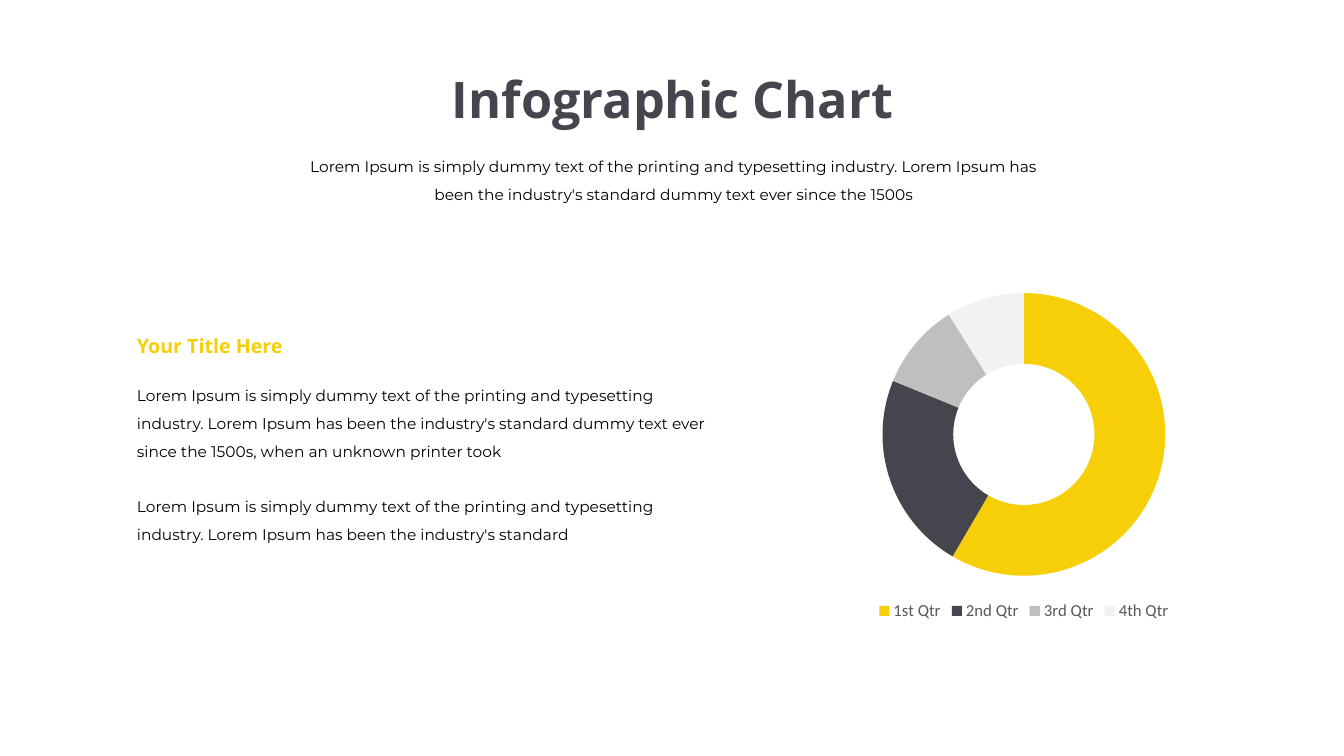
from dataclasses import dataclass

from pptx import Presentation
from pptx.chart.data import CategoryChartData
from pptx.dml.color import RGBColor
from pptx.enum.chart import XL_CHART_TYPE, XL_LEGEND_POSITION
from pptx.enum.text import MSO_ANCHOR, MSO_AUTO_SIZE, PP_ALIGN
from pptx.util import Inches, Pt

COLORS = {
    "yellow": "F6CF08",
    "charcoal": "45454D",
    "silver": "BFBFBF",
    "mist": "F2F2F2",
    "black": "000000",
    "legend": "595959",
}
QUARTERS = {
    "1st Qtr": (59, "yellow"),
    "2nd Qtr": (23, "charcoal"),
    "3rd Qtr": (10, "silver"),
    "4th Qtr": (9, "mist"),
}
LOREM = "Lorem Ipsum is simply dummy text of the printing and typesetting industry. Lorem Ipsum has been the industry's standard"


@dataclass(frozen=True)
class TextStyle:
    font: str
    size: int
    color: str
    bold: bool = False
    spacing: float = 1.0


@dataclass(frozen=True)
class TextBlock:
    text: str
    left: float
    top: float
    width: float
    height: float
    style: TextStyle
    align: PP_ALIGN = PP_ALIGN.LEFT


TITLE = TextStyle("Open Sans", 36, "charcoal", bold=True)
HEADING = TextStyle("Open Sans", 14, "yellow", bold=True)
BODY = TextStyle("Montserrat", 11, "black", spacing=1.5)

HEADLINE = TextBlock("Infographic Chart", 2.52, 0.63, 8.3, 0.71, TITLE, PP_ALIGN.CENTER)
BLOCKS = [
    TextBlock(f"{LOREM} dummy text ever since the 1500s",
              2.91, 1.42, 7.55, 0.66, BODY, PP_ALIGN.CENTER),
    TextBlock("Your Title Here", 1.26, 3.26, 2.8, 0.34, HEADING),
    TextBlock(f"{LOREM} dummy text ever since the 1500s, when an unknown printer took",
              1.26, 3.69, 5.85, 0.93, BODY),
    TextBlock(LOREM, 1.26, 4.79, 5.85, 0.66, BODY),
]


def rgb(name: str) -> RGBColor:
    return RGBColor.from_string(COLORS[name])


def apply(target, values: dict) -> None:
    for name, value in values.items():
        setattr(target, name, value)


def format_font(font, style: TextStyle) -> None:
    apply(font, {"name": style.font, "size": Pt(style.size), "bold": style.bold})
    font.color.rgb = rgb(style.color)


def fill_box(box, block: TextBlock) -> None:
    apply(box, {"left": Inches(block.left), "top": Inches(block.top),
                "width": Inches(block.width), "height": Inches(block.height)})
    frame = box.text_frame
    apply(frame, {"word_wrap": True, "vertical_anchor": MSO_ANCHOR.TOP,
                  "auto_size": MSO_AUTO_SIZE.SHAPE_TO_FIT_TEXT})
    para = frame.paragraphs[0]
    apply(para, {"alignment": block.align, "line_spacing": block.style.spacing,
                 "space_before": Pt(0)})
    span = para.add_run()
    span.text = block.text
    format_font(span.font, block.style)


def add_quarter_chart(page) -> None:
    data = CategoryChartData()
    data.categories = list(QUARTERS)
    data.add_series("Series 1", [value for value, _ in QUARTERS.values()])
    chart = page.shapes.add_chart(
        XL_CHART_TYPE.DOUGHNUT, Inches(8.14), Inches(2.77),
        Inches(4.03), Inches(3.43), data).chart
    apply(chart, {"has_title": False, "has_legend": True})
    format_font(chart.font, TextStyle("Calibri", 10, "black"))
    apply(chart.legend, {"position": XL_LEGEND_POSITION.BOTTOM,
                         "include_in_layout": False})
    format_font(chart.legend.font, TextStyle("Calibri", 12, "legend"))

    # Ring colours and hole
    plot = chart.plots[0]
    plot.vary_by_categories = True
    for index, (_, color) in enumerate(QUARTERS.values()):
        segment = plot.series[0].points[index].format
        segment.fill.solid()
        segment.fill.fore_color.rgb = rgb(color)
        segment.line.fill.background()
    for hole in chart.element.xpath(".//c:holeSize"):
        hole.set("val", "45")


def main() -> None:
    deck = Presentation()
    apply(deck, {"slide_width": Inches(13.33), "slide_height": Inches(7.5)})
    page = deck.slides.add_slide(deck.slide_layouts[5])

    # Chart
    add_quarter_chart(page)

    # Title and text
    fill_box(page.shapes.title, HEADLINE)
    for block in BLOCKS:
        box = page.shapes.add_textbox(0, 0, 0, 0)
        fill_box(box, block)

    deck.save("out.pptx")


if __name__ == "__main__":
    main()
